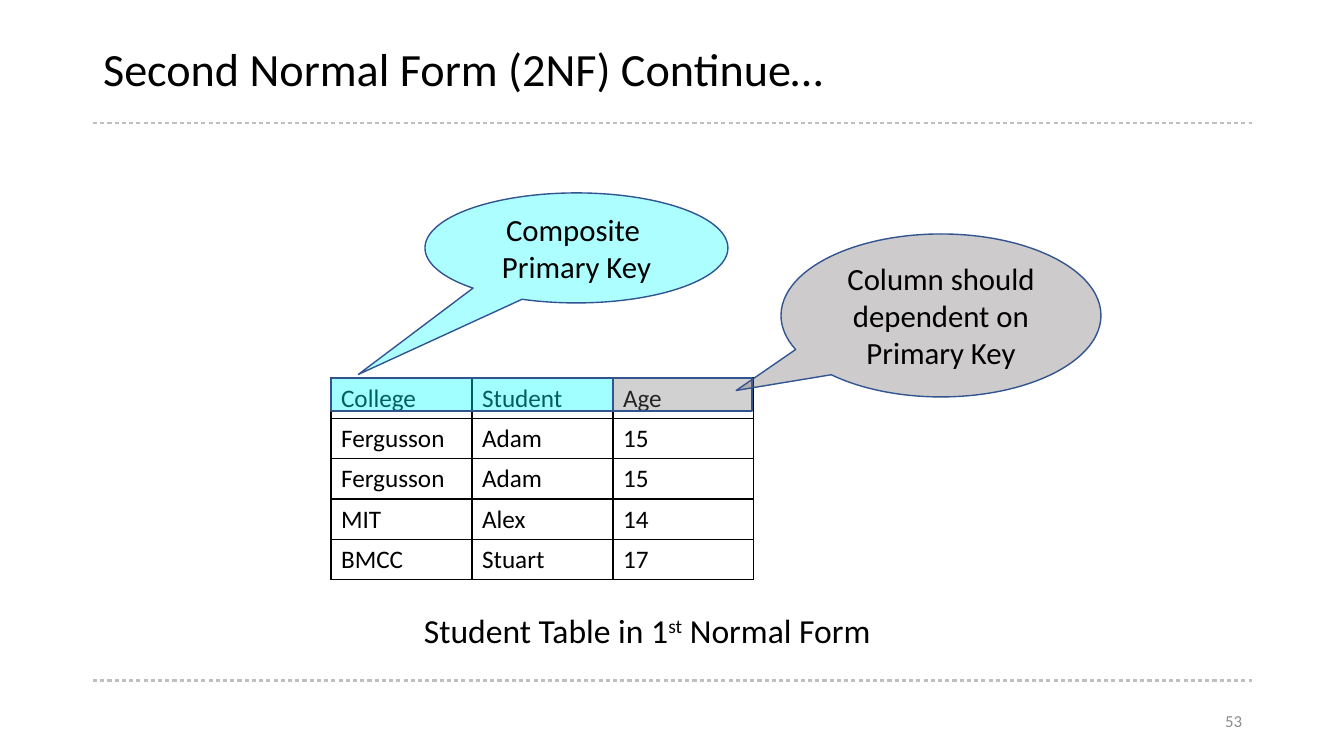
from lxml.etree import SubElement
from pptx import Presentation
from pptx.dml.color import RGBColor
from pptx.enum.dml import MSO_LINE
from pptx.enum.shapes import MSO_CONNECTOR, MSO_SHAPE
from pptx.enum.text import MSO_ANCHOR, MSO_AUTO_SIZE, PP_ALIGN
from pptx.oxml.ns import qn
from pptx.util import Pt

SCALE = 914400 / 100.8
FONT = "Calibri"
BLACK, BLUE, CYAN, GREY = "000000", "325491", "00FFFF", "767171"
ROWS = [
    ("College", "Student", "Age"),
    ("Fergusson", "Adam", "15"),
    ("Fergusson", "Adam", "15"),
    ("MIT", "Alex", "14"),
    ("BMCC", "Stuart", "17"),
]
COL, ROW, HEAD = 141, 35, 33


def px(*sizes):
    return [round(size * SCALE) for size in sizes]


def color(code):
    return RGBColor.from_string(code)


def style(frame, size, code=BLACK, align=PP_ALIGN.LEFT, anchor=MSO_ANCHOR.MIDDLE):
    frame.vertical_anchor = anchor
    for para in frame.paragraphs:
        para.alignment = align
        for run in para.runs:
            run.font.size = Pt(size)
            run.font.name = FONT
            run.font.color.rgb = color(code)


def add_rule(slide, left, top, width):
    rule = slide.shapes.add_connector(
        MSO_CONNECTOR.STRAIGHT, *px(left, top, left + width, top))
    rule.line.color.rgb = color("BFBFBF")
    rule.line.width = Pt(0.75)
    rule.line.dash_style = MSO_LINE.DASH
    SubElement(rule._element.spPr, qn("a:effectLst"))


def add_frame(slide, left, top, width, height):
    for drop in (102, 659, 660):
        add_rule(slide, left, top + drop, width)
    title = slide.shapes.title
    title.left, title.top, title.width, title.height = px(left, top, width, 101)
    frame = title.text_frame
    frame.text = "Second Normal Form (2NF) Continue…"
    frame.auto_size = MSO_AUTO_SIZE.NONE
    frame.paragraphs[0].line_spacing = 0.9
    style(frame, 33)
    number = slide.shapes.add_textbox(
        *px(left + width - 302, top + height - 40, 302, 40)).text_frame
    number.word_wrap = True
    number.text = "53"
    style(number, 12, "8C8C8C", PP_ALIGN.RIGHT)


def add_border(cell):
    props = cell._tc.get_or_add_tcPr()
    for side in ("lnL", "lnR", "lnT", "lnB"):
        edge = SubElement(props, qn(f"a:{side}"), w=str(Pt(1)))
        fill = SubElement(edge, qn("a:solidFill"))
        SubElement(fill, qn("a:srgbClr"), val=BLACK)


def add_grid(slide, left, top):
    count, wide = len(ROWS), len(ROWS[0])
    table = slide.shapes.add_table(
        count, wide, *px(left, top, COL * wide, ROW * count)).table
    table.first_row = table.horz_banding = False
    for column in table.columns:
        column.width = px(COL)[0]
    for row, words in zip(table.rows, ROWS):
        row.height = px(ROW)[0]
        for cell, word in zip(row.cells, words):
            cell.text = word
            cell.vertical_anchor = MSO_ANCHOR.MIDDLE
            style(cell.text_frame, 18)
            add_border(cell)
            cell.fill.background()


def add_caption(slide, left, top, width, height):
    frame = slide.shapes.add_textbox(*px(left, top, width, height)).text_frame
    frame.word_wrap = False
    frame.auto_size = MSO_AUTO_SIZE.SHAPE_TO_FIT_TEXT
    para = frame.paragraphs[0]
    for word in ("Student Table in 1", "st", " Normal Form"):
        para.add_run().text = word
    para.runs[1]._r.get_or_add_rPr().set("baseline", "30000")
    style(frame, 24, anchor=MSO_ANCHOR.TOP)


def add_tint(slide, kind, box, code, alpha):
    shape = slide.shapes.add_shape(kind, *px(*box))
    shape.shadow.inherit = False
    shape.fill.solid()
    shape.fill.fore_color.rgb = color(code)
    shade = shape._element.spPr.find(qn("a:solidFill"))[0]
    SubElement(shade, qn("a:alpha"), val=str(alpha * 1000))
    shape.line.color.rgb = color(BLUE)
    shape.line.width = Pt(1)
    return shape


def add_callout(slide, box, code, alpha, tip, text):
    shape = add_tint(slide, MSO_SHAPE.OVAL_CALLOUT, box, code, alpha)
    shape.adjustments[0], shape.adjustments[1] = tip
    shape.text_frame.word_wrap = True
    shape.text_frame.text = text
    style(shape.text_frame, 22, align=PP_ALIGN.CENTER)


def add_diagram(slide, left, top):
    add_grid(slide, left, top)
    add_caption(slide, left + 83, top + 227, 493, 50)
    add_tint(slide, MSO_SHAPE.RECTANGLE, (left, top, 2 * COL, HEAD), CYAN, 37)
    add_callout(slide, (left + 94, top - 185, 303, 110), CYAN, 32,
                (-0.72, 1.15), "Composite \nPrimary Key")
    add_tint(slide, MSO_SHAPE.RECTANGLE,
             (left + 2 * COL, top, COL - 2, HEAD), GREY, 32)
    add_callout(slide, (left + 450, top - 144, 320, 163), GREY, 36,
                (-0.64, 0.46), "Column should dependent on Primary Key")


def main():
    deck = Presentation()
    deck.slide_width, deck.slide_height = px(1344, 756)
    slide = deck.slides.add_slide(deck.slide_layouts[5])
    add_frame(slide, 93, 21, 1159, 720)
    add_diagram(slide, 331, 378)
    deck.save("out.pptx")


if __name__ == "__main__":
    main()
